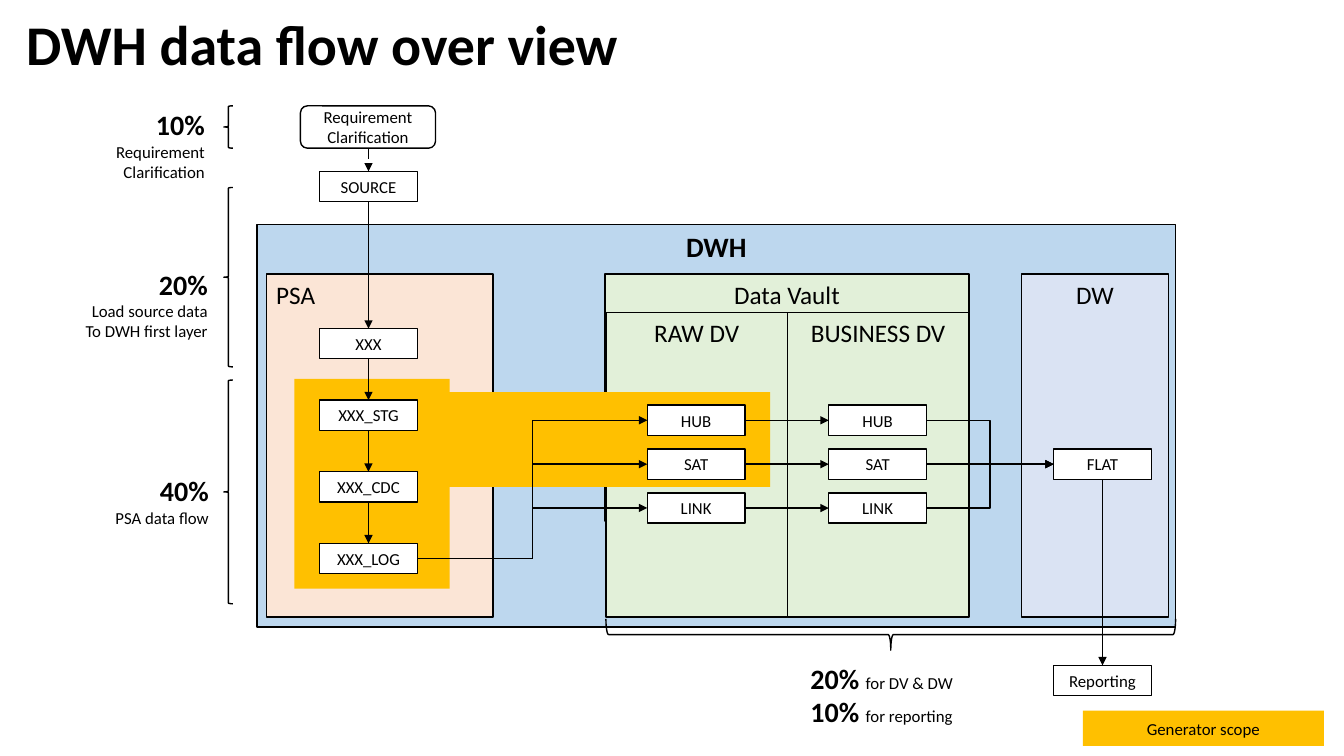
import pptx
import pptx.util
import pptx.dml.color
import pptx.enum.dml
import pptx.enum.shapes
import pptx.enum.text
import pptx.oxml.ns
import lxml.etree

RGBColor = pptx.dml.color.RGBColor
BLACK = RGBColor(0x00, 0x00, 0x00)
WHITE = RGBColor(0xFF, 0xFF, 0xFF)
BLUE = RGBColor(0xBD, 0xD7, 0xEE)
GREEN = RGBColor(0xE2, 0xF0, 0xD9)
PEACH = RGBColor(0xFB, 0xE5, 0xD6)
LAVENDER = RGBColor(0xDA, 0xE3, 0xF3)
AMBER = RGBColor(0xFF, 0xC0, 0x00)

Inches = pptx.util.Inches
Pt = pptx.util.Pt
Align = pptx.enum.text.PP_ALIGN
Anchor = pptx.enum.text.MSO_ANCHOR
Preset = pptx.enum.shapes.MSO_SHAPE
Route = pptx.enum.shapes.MSO_CONNECTOR

deck = pptx.Presentation()
deck.slide_width = Inches(13.33)
deck.slide_height = Inches(7.5)
page = deck.slides.add_slide(deck.slide_layouts[5])


def write(box, text, size=12, bold=False, align=Align.CENTER, anchor=Anchor.MIDDLE, wrap=True):
    frame = box.text_frame
    frame.word_wrap = wrap
    frame.vertical_anchor = anchor
    paragraphs = [[(text, size, bold)]] if isinstance(text, str) else text
    for number, spans in enumerate(paragraphs):
        para = frame.add_paragraph() if number else frame.paragraphs[0]
        para.alignment = align
        for words, points, heavy in spans:
            span = para.add_run()
            span.text = words
            span.font.name = "Calibri"
            span.font.size = Pt(points)
            span.font.bold = heavy
            span.font.color.rgb = BLACK


def draw(left, top, width, height, fill=None, outlined=True, preset=Preset.RECTANGLE):
    box = page.shapes.add_shape(preset, *map(Inches, (left, top, width, height)))
    box.shadow.inherit = False
    if fill is None:
        box.fill.background()
    else:
        box.fill.solid()
        box.fill.fore_color.rgb = fill
    if outlined:
        box.line.color.rgb = BLACK
        box.line.width = Pt(1)
    else:
        box.line.fill.background()
    return box


title = page.shapes.title
title.left, title.top, title.width, title.height = map(Inches, (0.16, 0.04, 6.13, 0.77))
write(title, "DWH data flow over view", size=40, bold=True, align=Align.LEFT, wrap=False)

layer_top, layer_height = 2.72, 3.4
vault_left, vault_width, vault_top = 6.01, 1.8, 3.1
vault_height = layer_top + layer_height - vault_top
layers = [
    ("DWH", 2.55, 2.23, 9.11, 3.99, BLUE, 20, Align.CENTER),
    ("Data Vault", 6, layer_top, 3.61, 2.45, GREEN, 18, Align.CENTER),
    ("PSA", 2.64, layer_top, 2.25, layer_height, PEACH, 18, Align.LEFT),
    ("RAW DV", vault_left, vault_top, vault_width, vault_height, GREEN, 18, Align.CENTER),
    ("DW", 10.13, layer_top, 1.46, layer_height, LAVENDER, 18, Align.CENTER),
    ("BUSINESS DV", vault_left + vault_width, vault_top, vault_width, vault_height,
     GREEN, 18, Align.CENTER),
]
for name, left, top, width, height, fill, size, align in layers:
    layer = draw(left, top, width, height, fill)
    write(layer, name, size=size, bold=name == "DWH", align=align, anchor=Anchor.TOP)

draw(2.92, 3.76, 1.54, 2.08, AMBER, outlined=False)
draw(4.38, 3.89, 3.26, 0.94, AMBER, outlined=False)
legend = draw(10.74, 7.05, 2.39, 0.35, AMBER, outlined=False)
write(legend, "Generator scope")

node_width, node_height = 0.97, 0.3
psa_column, raw_column, business_column, report_column = 3.17, 6.42, 8.22, 10.45
psa_rows = [3.26 + 0.71 * step for step in range(4)]
vault_rows = [4.02 + 0.435 * step for step in range(3)]
source_row, flat_row, reporting_row = 1.7, vault_rows[1], 6.6

nodes = [("SOURCE", psa_column, source_row), ("FLAT", report_column, flat_row),
         ("Reporting", report_column, reporting_row)]
nodes += [(name, psa_column, row)
          for name, row in zip(["XXX", "XXX_STG", "XXX_CDC", "XXX_LOG"], psa_rows)]
nodes += [(name, column, row) for column in (raw_column, business_column)
          for name, row in zip(["HUB", "SAT", "LINK"], vault_rows)]
for name, left, top in nodes:
    write(draw(left, top, node_width, node_height, WHITE), name)

requirement = draw(2.98, 1.05, 1.34, 0.42, WHITE, preset=Preset.ROUNDED_RECTANGLE)
write(requirement, "Requirement Clarification")

psa_middle = psa_column + node_width / 2
report_middle = report_column + node_width / 2
half = node_height / 2
arrows = [(Route.STRAIGHT, psa_middle, 1.47, psa_middle, source_row)]
chain = [source_row] + psa_rows
arrows += [(Route.STRAIGHT, psa_middle, upper + node_height, psa_middle, lower)
           for upper, lower in zip(chain, chain[1:])]
for row in vault_rows:
    middle = row + half
    arrows += [
        (Route.ELBOW, psa_column + node_width, psa_rows[-1] + half, raw_column, middle),
        (Route.STRAIGHT, raw_column + node_width, middle, business_column, middle),
        (Route.ELBOW, business_column + node_width, middle, report_column, flat_row + half),
    ]
arrows.append((Route.STRAIGHT, report_middle, flat_row + node_height, report_middle, reporting_row))
for number, (route, *ends) in enumerate(arrows):
    arrow = page.shapes.add_connector(route, *map(Inches, ends))
    arrow.line.color.rgb = BLACK
    arrow.line.width = Pt(1)
    if number == 0:
        arrow.line.dash_style = pptx.enum.dml.MSO_LINE.LONG_DASH
    head = lxml.etree.SubElement(arrow.line._get_or_add_ln(), pptx.oxml.ns.qn("a:tailEnd"))
    head.set("type", "triangle")
    lxml.etree.SubElement(arrow._element.spPr, pptx.oxml.ns.qn("a:effectLst"))

for top, height in [(1.05, 0.42), (1.86, 1.78), (3.77, 2.22)]:
    draw(2.22, top, 0.09, height, preset=Preset.LEFT_BRACE)
draw(8.68, 3.47, 0.31, 5.65, preset=Preset.LEFT_BRACE).rotation = 270

shares = [
    (1.04, 1.02, 1.09, 0.84, Align.RIGHT, [["10%"], ["Requirement"], ["Clarification"]]),
    (0.73, 2.6, 1.43, 0.84, Align.RIGHT, [["20%"], ["Load source data"], ["To DWH first layer"]]),
    (1.03, 4.65, 1.14, 0.64, Align.RIGHT, [["40%"], ["PSA data flow"]]),
    (7.94, 6.51, 1.63, 0.77, Align.LEFT, [["20% ", "for DV & DW"], ["10% ", "for reporting"]]),
]
for left, top, width, height, align, lines in shares:
    note = page.shapes.add_textbox(*map(Inches, (left, top, width, height)))
    text = [[(words, 20 if "%" in words else 12, "%" in words) for words in line] for line in lines]
    write(note, text, align=align, anchor=Anchor.TOP, wrap=False)

deck.save("out.pptx")
